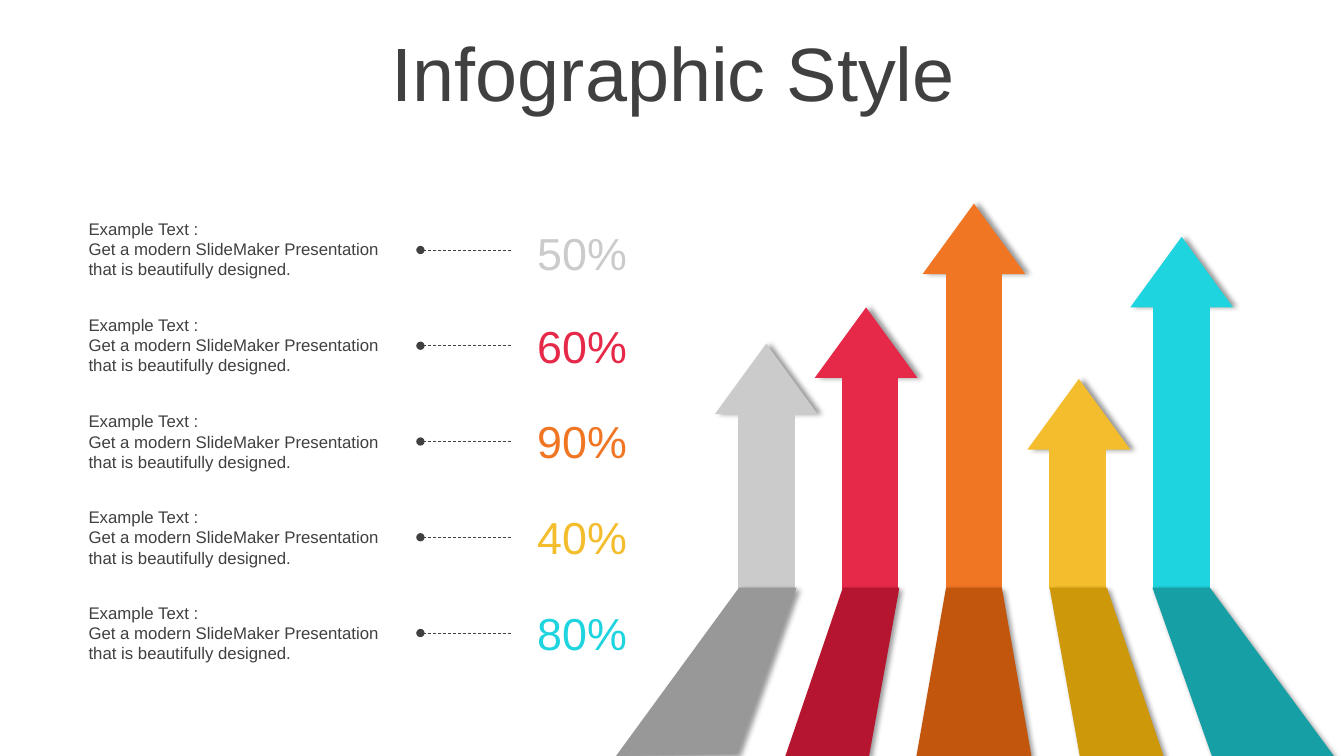
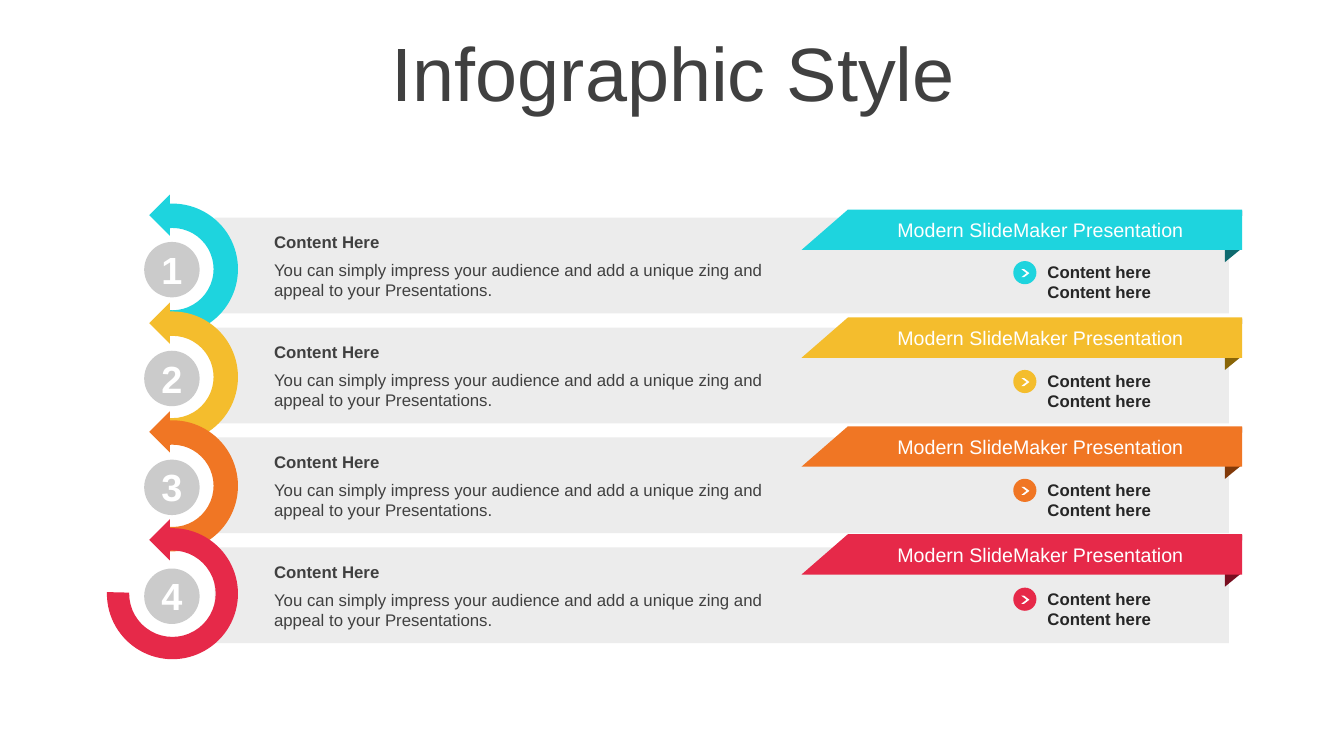
from lxml import etree
from pptx import Presentation
from pptx.chart.data import CategoryChartData
from pptx.dml.color import RGBColor
from pptx.enum.chart import XL_CHART_TYPE
from pptx.enum.dml import MSO_LINE
from pptx.enum.shapes import MSO_CONNECTOR, MSO_SHAPE
from pptx.enum.text import MSO_ANCHOR, PP_ALIGN
from pptx.oxml import parse_xml
from pptx.oxml.ns import nsdecls, qn
from pptx.util import Pt

PX = 9144
FONT = "Arial"
TEXT, INK, WHITE = "404040", "262626", "FFFFFF"
SILVER, PANEL = "CBCBCB", "ECECEC"
RED, ORANGE, YELLOW, CYAN = "E62949", "F07624", "F4BD2D", "1ED4DE"

LEFT, CENTER = PP_ALIGN.LEFT, PP_ALIGN.CENTER
TOP, MIDDLE = MSO_ANCHOR.TOP, MSO_ANCHOR.MIDDLE
RECT, OVAL = MSO_SHAPE.RECTANGLE, MSO_SHAPE.OVAL
PEAK, CORNER = MSO_SHAPE.ISOSCELES_TRIANGLE, MSO_SHAPE.RIGHT_TRIANGLE
ARC, CHEVRON = MSO_SHAPE.BLOCK_ARC, MSO_SHAPE.CHEVRON
TRAPEZOID = MSO_SHAPE.TRAPEZOID
STACKED = XL_CHART_TYPE.COLUMN_STACKED
STRAIGHT, DASH = MSO_CONNECTOR.STRAIGHT, MSO_LINE.DASH

BARS = [
    ("50%", 219, SILVER, 56, (709, 341)),
    ("60%", 311, RED, 67, (808, 305)),
    ("90%", 406, ORANGE, 100, (915, 202)),
    ("40%", 501, YELLOW, 44, (1019, 376)),
    ("80%", 596, CYAN, 89, (1121, 235)),
]
LEGS = [
    ("B61530", [(862, 750), (892, 583), (836, 583), (779, 750)]),
    ("989898", [(731, 748), (790, 583), (733, 583), (611, 750)]),
    ("CE980B", [(1071, 750), (1041, 583), (1098, 583), (1154, 750)]),
    ("179FA6", [(1202, 750), (1143, 583), (1200, 583), (1323, 750)]),
]
ROWS = [
    (CYAN, "0F6A6F", 2.031, 0.186),
    (YELLOW, "896507", 2.031, 0.186),
    (ORANGE, "813909", 2.031, 0.186),
    (RED, "790E20", 54.833, 0.17),
]


def rgb(color):
    return RGBColor.from_string(color)


def emu(*sizes):
    return [size * PX for size in sizes]


def paint(shape, color, angle=None):
    shape.fill.solid()
    shape.fill.fore_color.rgb = rgb(color)
    shape.line.fill.background()
    shape.shadow.inherit = False
    if angle is not None:
        glow = parse_xml(
            f'<a:outerShdw {nsdecls("a")} blurRad="50800" dist="38100" '
            f'dir="{angle * 60000}" algn="l" rotWithShape="0">'
            '<a:srgbClr val="000000"><a:alpha val="40000"/></a:srgbClr>'
            '</a:outerShdw>'
        )
        shape._element.spPr.find(qn("a:effectLst")).append(glow)


def add_form(slide, kind, box, color, adjust=(), turn=0, angle=None):
    shape = slide.shapes.add_shape(kind, *emu(*box))
    for i, value in enumerate(adjust):
        shape.adjustments[i] = value
    shape.rotation = turn
    paint(shape, color, angle)


def add_poly(slide, points, color, angle=None):
    pen = slide.shapes.build_freeform(*points[0], scale=PX)
    pen.add_line_segments(points[1:], close=True)
    paint(pen.convert_to_shape(), color, angle)


def add_text(slide, box, lines, size, color=TEXT, bold=False,
             align=LEFT, anchor=TOP, space=1.0):
    frame = slide.shapes.add_textbox(*emu(*box)).text_frame
    frame.word_wrap = True
    frame.vertical_anchor = anchor
    for i, line in enumerate(lines):
        para = frame.add_paragraph() if i else frame.paragraphs[0]
        para.alignment = align
        para.line_spacing = space
        run = para.add_run()
        run.text = line
        run.font.name = FONT
        run.font.size = Pt(size)
        run.font.bold = bold
        run.font.color.rgb = rgb(color)


def add_lead(slide, start, end, y):
    lead = slide.shapes.add_connector(STRAIGHT, *emu(start, y, end, y))
    lead.line.color.rgb = rgb(TEXT)
    lead.line.width = Pt(0.5)
    lead.line.dash_style = DASH
    line = lead.line._get_or_add_ln()
    etree.SubElement(line, qn("a:tailEnd"), type="oval")
    etree.SubElement(lead._element.spPr, qn("a:effectLst"))


def set_plot(chart, x, y, w, h):
    area = chart._chartSpace.chart.plotArea
    for old in area.findall(qn("c:layout")):
        area.remove(old)
    area.insert(0, parse_xml(
        f'<c:layout {nsdecls("c")}><c:manualLayout>'
        '<c:layoutTarget val="inner"/>'
        '<c:xMode val="edge"/><c:yMode val="edge"/>'
        f'<c:x val="{x}"/><c:y val="{y}"/>'
        f'<c:w val="{w}"/><c:h val="{h}"/>'
        '</c:manualLayout></c:layout>'
    ))


def add_bars(slide, box):
    data = CategoryChartData()
    data.categories = [str(i + 1) for i in range(len(BARS))]
    data.add_series("Series 1", [bar[3] for bar in BARS])
    chart = slide.shapes.add_chart(STACKED, *emu(*box), data).chart
    chart.has_legend = False
    chart.has_title = False
    chart.font.name = FONT
    chart.font.size = Pt(18)
    chart.font.color.rgb = rgb("000000")
    for axis in (chart.category_axis, chart.value_axis):
        axis.visible = False
        axis.has_major_gridlines = False
    chart.value_axis.minimum_scale = 0
    chart.value_axis.maximum_scale = 110
    plot = chart.plots[0]
    plot.gap_width = 84
    plot.overlap = 100
    plot.vary_by_categories = False
    for i, bar in enumerate(BARS):
        fill = plot.series[0].points[i].format.fill
        fill.solid()
        fill.fore_color.rgb = rgb(bar[2])
    set_plot(chart, 0.02, 0.052, 0.96, 0.913)


def add_page(deck):
    slide = deck.slides.add_slide(deck.slide_layouts[6])
    add_text(slide, (35, 37, 1266, 79), ["Infographic Style"], 54,
             align=CENTER, anchor=MIDDLE, space=0.9)
    return slide


def draw_growth(deck):
    slide = add_page(deck)
    for label, y, color, value, (left, top) in BARS:
        add_form(slide, PEAK, (left, top, 102, 70), color, angle=0)
    add_bars(slide, (698, 216, 536, 382))
    add_form(slide, TRAPEZOID, (909, 583, 114, 167), "C2560D",
             [0.257], angle=45)
    for color, points in LEGS:
        add_poly(slide, points, color, 45)
    for i, (label, y, color, value, peak) in enumerate(BARS):
        add_text(slide, (523, y, 132, 64), [label], 32, color)
        add_text(slide, (78, 212 + round(i * 95.3), 335, 71), [
            "Example Text :",
            "Get a modern SlideMaker Presentation "
            "that is beautifully designed.",
        ], 12)
        add_lead(slide, 507, 417, 248 + i * 95)


def add_ribbon(slide, y, color, fold):
    add_poly(slide, [(1215, y + 2), (1232, y + 1),
                     (1231, y + 39), (1215, y + 52)], fold)
    add_poly(slide, [(1232, y), (841, y), (795, y + 40), (1232, y + 40)],
             color)
    add_text(slide, (873, y + 3, 318, 34), ["Modern SlideMaker Presentation"],
             14, WHITE, align=CENTER, anchor=MIDDLE)


def add_bullet(slide, y, color):
    add_form(slide, OVAL, (1005, y, 23, 23), color)
    add_form(slide, CHEVRON, (1013, y + 8, 8, 8), WHITE, [0.652])
    add_text(slide, (1029, y - 4, 138, 50), ["Content here"] * 2, 12, INK,
             bold=True, anchor=MIDDLE)


def draw_steps(deck):
    slide = add_page(deck)
    for i in range(len(ROWS)):
        add_form(slide, RECT, (213, 216 + i * 109, 1006, 95), PANEL)
    for i, (color, fold, sweep, thick) in enumerate(ROWS):
        disc, body, ring = i * 108, i * 109, round(i * 107.3)
        add_form(slide, OVAL, (143, 240 + disc, 55, 55), SILVER)
        add_text(slide, (148, 239 + disc, 45, 56), [str(i + 1)], 27, WHITE,
                 bold=True, align=CENTER, anchor=MIDDLE)
        add_form(slide, ARC, (106, 202 + ring, 130, 130), color,
                 [104.732, sweep, thick], 90)
        add_form(slide, CORNER, (154, 199 + ring, 29, 29), color, turn=45)
        add_text(slide, (262, 225 + body, 533, 30), ["Content Here"], 12,
                 bold=True)
        add_text(slide, (262, 253 + body, 525, 50), [
            "You can simply impress your audience and add a unique zing "
            "and appeal to your Presentations.",
        ], 12)
        add_ribbon(slide, 208 + ring, color, fold)
        add_bullet(slide, 259 + disc, color)


def main():
    deck = Presentation()
    deck.slide_width, deck.slide_height = emu(1333, 750)
    draw_growth(deck)
    draw_steps(deck)
    deck.save("out.pptx")


if __name__ == "__main__":
    main()
